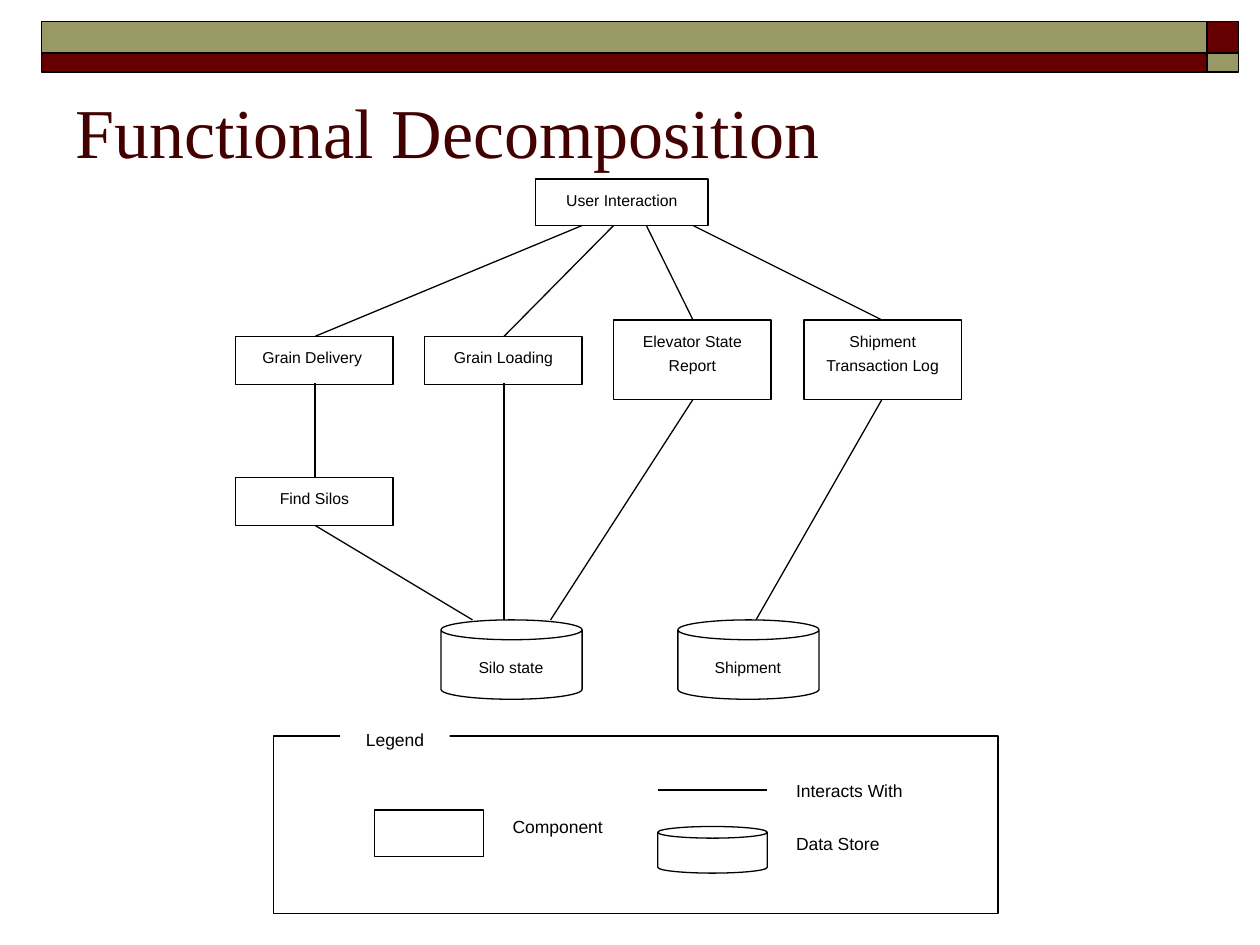
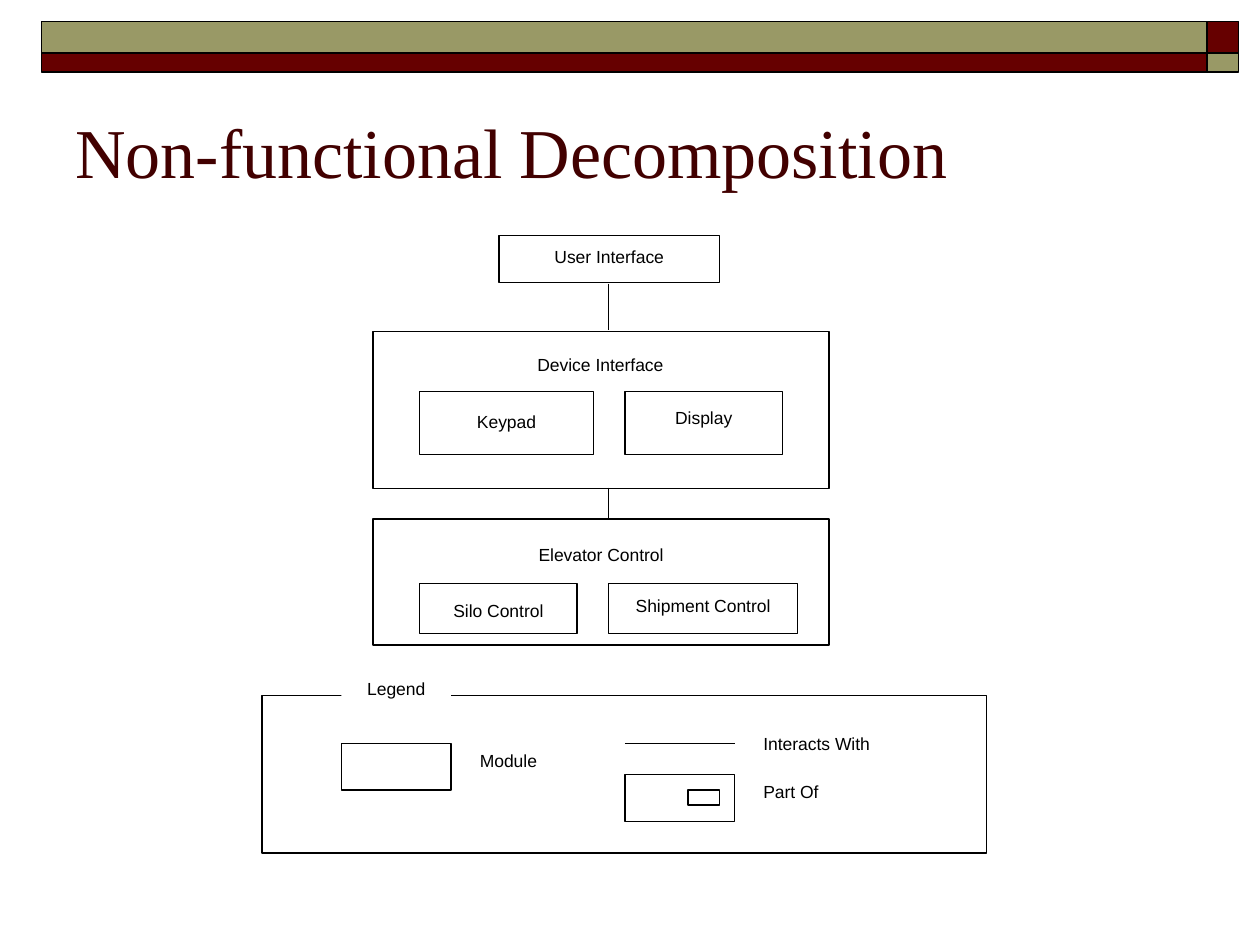
import pptx
import pptx.dml.color
import pptx.enum.shapes
import pptx.enum.text
import pptx.oxml.ns
import pptx.util
from lxml import etree

Inches = pptx.util.Inches
Pt = pptx.util.Pt
RGBColor = pptx.dml.color.RGBColor
MSO_SHAPE = pptx.enum.shapes.MSO_SHAPE
PP_ALIGN = pptx.enum.text.PP_ALIGN

MAROON = RGBColor(0x66, 0x00, 0x00)
OLIVE = RGBColor(0x99, 0x99, 0x66)
TITLE_COLOR = RGBColor(0x42, 0x00, 0x00)
BLACK = RGBColor(0x00, 0x00, 0x00)
WHITE = RGBColor(0xFF, 0xFF, 0xFF)


def add_box(page, left, top, width, height, text="", size=10, spacing=None,
            align=PP_ALIGN.CENTER, fill=WHITE, line_width=0.75, kind=MSO_SHAPE.RECTANGLE):
    """Add a filled shape; a line_width of 0 leaves it without an outline."""
    box = page.shapes.add_shape(kind, Inches(left), Inches(top), Inches(width), Inches(height))
    box.shadow.inherit = False
    box.fill.solid()
    box.fill.fore_color.rgb = fill
    if line_width:
        box.line.color.rgb = BLACK
        box.line.width = Pt(line_width)
    else:
        box.line.fill.background()
    if text:
        frame = box.text_frame
        frame.word_wrap = True
        frame.vertical_anchor = pptx.enum.text.MSO_ANCHOR.TOP
        for number, words in enumerate(text.split("\n")):
            para = frame.add_paragraph() if number else frame.paragraphs[0]
            para.alignment = align
            if spacing:
                para.line_spacing = spacing
            span = para.add_run()
            span.text = words
            span.font.size = Pt(size)
            span.font.name = "Arial"
            span.font.color.rgb = BLACK


def add_line(page, x1, y1, x2, y2):
    line = page.shapes.add_connector(pptx.enum.shapes.MSO_CONNECTOR.STRAIGHT,
                                     Inches(x1), Inches(y1), Inches(x2), Inches(y2))
    line.line.color.rgb = BLACK
    line.line.width = Pt(0.75)
    etree.SubElement(line._element.spPr, pptx.oxml.ns.qn("a:effectLst"))


deck = pptx.Presentation()
deck.slide_width = Inches(10)
deck.slide_height = Inches(7.5)

# Bands across the top: left, top, width, height, colour
BANDS = [
    (9.58, 0.17, 0.25, 0.25, MAROON),
    (0.33, 0.17, 9.25, 0.25, OLIVE),
    (0.33, 0.42, 9.25, 0.15, MAROON),
    (9.58, 0.42, 0.25, 0.15, OLIVE),
]

# Title, title top, legend frame, legend tag, key left and top,
# key name, line height, sample top, sample name
PAGES = [
    ("Functional Decomposition", 0.17, (2.17, 5.84, 5.75, 1.41), (2.7, 5.74, 0.87, 0.25),
     2.97, 6.43, "Component", 6.27, 6.56, "Data Store"),
    ("Non-functional Decomposition", 0.33, (2.08, 5.52, 5.75, 1.25), (2.71, 5.33, 0.87, 0.31),
     2.71, 5.9, "Module", 5.9, 6.15, "Part Of"),
]

for (title, title_top, legend_frame, legend_tag, key_left, key_top,
     key_name, line_y, sample_top, sample_name) in PAGES:
    page = deck.slides.add_slide(deck.slide_layouts[6])
    for left, top, width, height, color in BANDS:
        add_box(page, left, top, width, height, fill=color, line_width=1)

    # Title
    title_box = page.shapes.add_textbox(Inches(0.5), Inches(title_top), Inches(9), Inches(1.25))
    title_box.text_frame.word_wrap = True
    title_box.text_frame.vertical_anchor = pptx.enum.text.MSO_ANCHOR.BOTTOM
    span = title_box.text_frame.paragraphs[0].add_run()
    span.text = title
    span.font.size = Pt(40)
    span.font.name = "Times New Roman"
    span.font.color.rgb = TITLE_COLOR

    # Legend
    add_box(page, *legend_frame)
    add_box(page, *legend_tag, "Legend", line_width=0)
    add_box(page, key_left, key_top, 0.87, 0.37)
    sample_left = key_left + 2.25
    add_line(page, sample_left, line_y, sample_left + 0.87, line_y)
    for left, top, width, name in [
        (key_left + 1, key_top, 1, key_name),
        (sample_left + 1, line_y - 0.13, 1.37, "Interacts With"),
        (sample_left + 1, sample_top, 1, sample_name),
    ]:
        add_box(page, left, top, width, 0.37, name, align=PP_ALIGN.LEFT, line_width=0)

functional, nonfunctional = deck.slides

# Functional slide: components
for left, top, width, height, name in [
    (4.25, 1.42, 1.37, 0.37, "User Interaction"),
    (1.87, 2.67, 1.25, 0.38, "Grain Delivery "),
    (3.37, 2.67, 1.25, 0.38, "Grain Loading"),
    (4.87, 2.54, 1.25, 0.63, "Elevator State Report"),
    (6.38, 2.54, 1.25, 0.63, "Shipment\nTransaction Log"),
    (1.87, 3.79, 1.25, 0.38, "Find Silos"),
]:
    add_box(functional, left, top, width, height, name, 9, 1.28)

# Functional slide: data stores
for left, name in [(3.5, "Silo state"), (5.38, "Shipment")]:
    add_box(functional, left, 4.92, 1.12, 0.63, kind=MSO_SHAPE.CAN)
    add_box(functional, left + 0.12, 5.17, 0.87, 0.25, name, 9, line_width=0)
add_box(functional, 5.22, 6.56, 0.87, 0.37, kind=MSO_SHAPE.CAN)

# Functional slide: interactions
for ends in [
    (2.5, 2.67, 4.62, 1.79),
    (4, 2.67, 4.87, 1.79),
    (5.5, 2.54, 5.13, 1.79),
    (7, 2.54, 5.5, 1.79),
    (2.5, 3.04, 2.5, 3.79),
    (4, 3.04, 4, 4.92),
    (2.5, 4.17, 3.75, 4.92),
    (5.5, 3.17, 4.37, 4.92),
    (7, 3.17, 6, 4.92),
]:
    add_line(functional, *ends)

# Non-functional slide: modules, outer ones first
for left, top, width, height, name, spacing, line_width in [
    (3.96, 1.87, 1.75, 0.37, "User Interface", 1.2, 0.75),
    (2.96, 2.63, 3.62, 1.25, "", None, 0.75),
    (4.08, 2.76, 1.37, 0.25, "Device Interface", None, 0),
    (3.33, 3.11, 1.38, 0.5, "Keypad", 1.6, 0.75),
    (4.96, 3.11, 1.25, 0.5, "Display", 1.44, 0.75),
    (2.96, 4.12, 3.62, 1, "", None, 0.75),
    (3.96, 4.22, 1.62, 0.3, "Elevator Control", 1.28, 0),
    (3.33, 4.63, 1.25, 0.4, "Silo Control", 1.52, 0.75),
    (4.83, 4.63, 1.5, 0.4, "Shipment Control", 1.28, 0.75),
]:
    add_box(nonfunctional, left, top, width, height, name, 10, spacing, line_width=line_width)

# Non-functional slide: interactions and the nested legend sample
for top, bottom in [(2.25, 2.62), (3.87, 4.12)]:
    add_line(nonfunctional, 4.83, top, 4.83, bottom)
add_box(nonfunctional, 4.96, 6.15, 0.87, 0.37)
add_box(nonfunctional, 5.46, 6.27, 0.25, 0.12)

deck.save("out.pptx")
